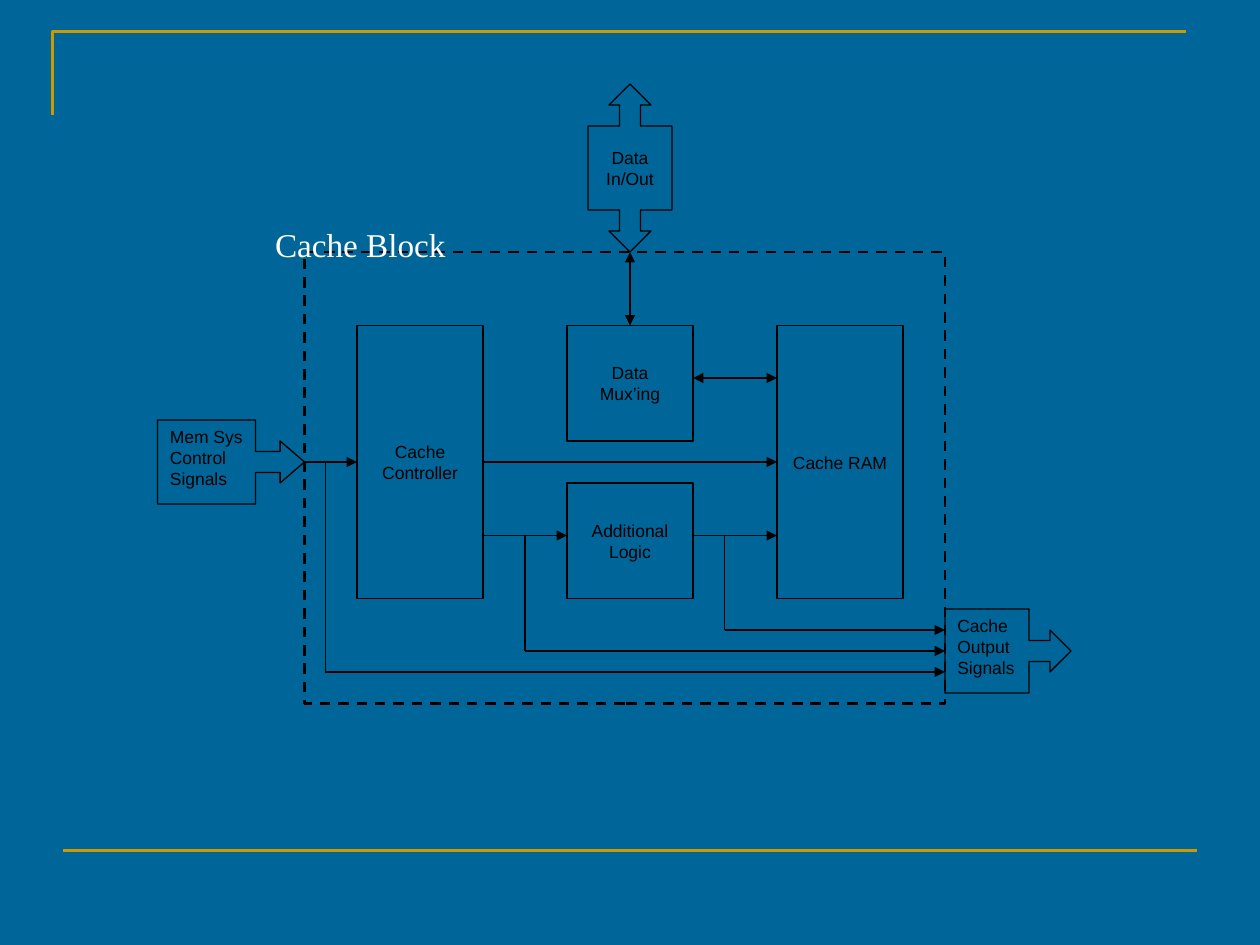
"""Cache block diagram laid out on a grid of twelve units to the inch."""
from lxml.etree import SubElement
from pptx import Presentation
from pptx.dml.color import RGBColor
from pptx.enum.dml import MSO_LINE as DASH
from pptx.enum.shapes import MSO_SHAPE as SHAPE, MSO_CONNECTOR as CONN
from pptx.enum.text import MSO_ANCHOR as ANCHOR, MSO_AUTO_SIZE as AUTO, PP_ALIGN as ALIGN
from pptx.oxml.ns import qn
from pptx.util import Inches, Pt

U = Inches(1) // 12
BLACK, GOLD = "000000", "CC9900"
rgb = RGBColor.from_string


def style(sp, text="", color=BLACK, width=0.75, align=ALIGN.CENTER, anchor=ANCHOR.MIDDLE):
    sp.shadow.inherit = False
    sp.fill.background()
    sp.line.color.rgb = rgb(color)
    sp.line.width = Pt(width)
    if text:
        tf = sp.text_frame
        tf.word_wrap = True
        tf.vertical_anchor = anchor
        p = tf.paragraphs[0]
        p.text = text
        p.alignment = align
        p.font.size, p.font.name = Pt(10), "Arial"
        p.font.color.rgb = rgb(BLACK)
    return sp


def connect(x1, y1, x2, y2, ends=(), color=BLACK, width=0.75):
    c = s.shapes.add_connector(CONN.STRAIGHT, x1 * U, y1 * U, x2 * U, y2 * U)
    c.line.color.rgb = rgb(color)
    c.line.width = Pt(width)
    for end in ends:
        SubElement(c.line._get_or_add_ln(), qn(f"a:{end}"), type="triangle")
    SubElement(c._element.spPr, qn("a:effectLst"))
    return c


prs = Presentation()
prs.slide_width, prs.slide_height = 120 * U, 90 * U
s = prs.slides.add_slide(prs.slide_layouts[5])
s.background.fill.solid()
s.background.fill.fore_color.rgb = rgb("006699")

fb = s.shapes.build_freeform(5, 11, scale=U)
fb.add_line_segments([(5, 3), (113, 3)], close=False)
style(fb.convert_to_shape(), color=GOLD, width=1.5)
connect(6, 81, 114, 81, color=GOLD, width=1.5)

frame = style(s.shapes.add_shape(SHAPE.RECTANGLE, 29 * U, 24 * U, 61 * U, 43 * U), width=1.5)
frame.line.dash_style = DASH.DASH

blocks = {}
for text, x, y, h in [
    ("Cache Controller", 34, 31, 26),
    ("Cache RAM", 74, 31, 26),
    ("Additional Logic", 54, 46, 11),
    ("Data Mux’ing", 54, 31, 11),
]:
    sp = s.shapes.add_shape(SHAPE.RECTANGLE, x * U, y * U, 12 * U, h * U)
    blocks[text] = style(sp, text)

BOTH, TAIL = ("headEnd", "tailEnd"), ("tailEnd",)
connect(60, 24, 60, 31, BOTH).end_connect(blocks["Data Mux’ing"], 0)
connect(29, 44, 34, 44, TAIL).end_connect(blocks["Cache Controller"], 1)
control = connect(46, 44, 74, 44, TAIL)
control.begin_connect(blocks["Cache Controller"], 3)
control.end_connect(blocks["Cache RAM"], 1)
connect(74, 36, 66, 36, BOTH)
for x1, x2 in [(66, 74), (46, 54)]:
    connect(x1, 51, x2, 51, TAIL)
for x, top, bottom in [(69, 51, 60), (50, 51, 62), (31, 44, 64)]:
    connect(x, top, x, bottom)
    connect(x, bottom, 90, bottom, TAIL)

for text, x, y, w, head in [
    ("Cache Output Signals", 90, 58, 12, 0.25),
    ("Mem Sys Control Signals", 15, 40, 14, 0.29),
]:
    sp = s.shapes.add_shape(SHAPE.RIGHT_ARROW_CALLOUT, x * U, y * U, w * U, 8 * U)
    for i, value in enumerate((0.25, 0.25, head, 0.667)):
        sp.adjustments[i] = value
    style(sp, text, align=ALIGN.LEFT, anchor=ANCHOR.TOP)

half = [(-4, 4), (-1, 4), (-1, 6), (-2, 6), (0, 8), (2, 6), (1, 6), (1, 4), (4, 4)]
points = [(60 + dx, 16 + dy) for dx, dy in half + [(-dx, -dy) for dx, dy in half]]
fb = s.shapes.build_freeform(*points[0], scale=U)
fb.add_line_segments(points[1:], close=True)
style(fb.convert_to_shape(), "Data In/Out")

title = s.shapes.title
title.left, title.top, title.width, title.height = 25 * U, 21 * U, Inches(2.12), Inches(0.23)
tf = title.text_frame
tf.word_wrap, tf.auto_size, tf.vertical_anchor = True, AUTO.NONE, ANCHOR.TOP
p = tf.paragraphs[0]
p.text = "Cache Block"
p.alignment, p.line_spacing = ALIGN.LEFT, 0.95
p.font.size, p.font.name = Pt(19), "Times New Roman"
p.font.color.rgb = rgb("FFFFFF")
s.shapes._spTree.append(title._element)

prs.save("out.pptx")
